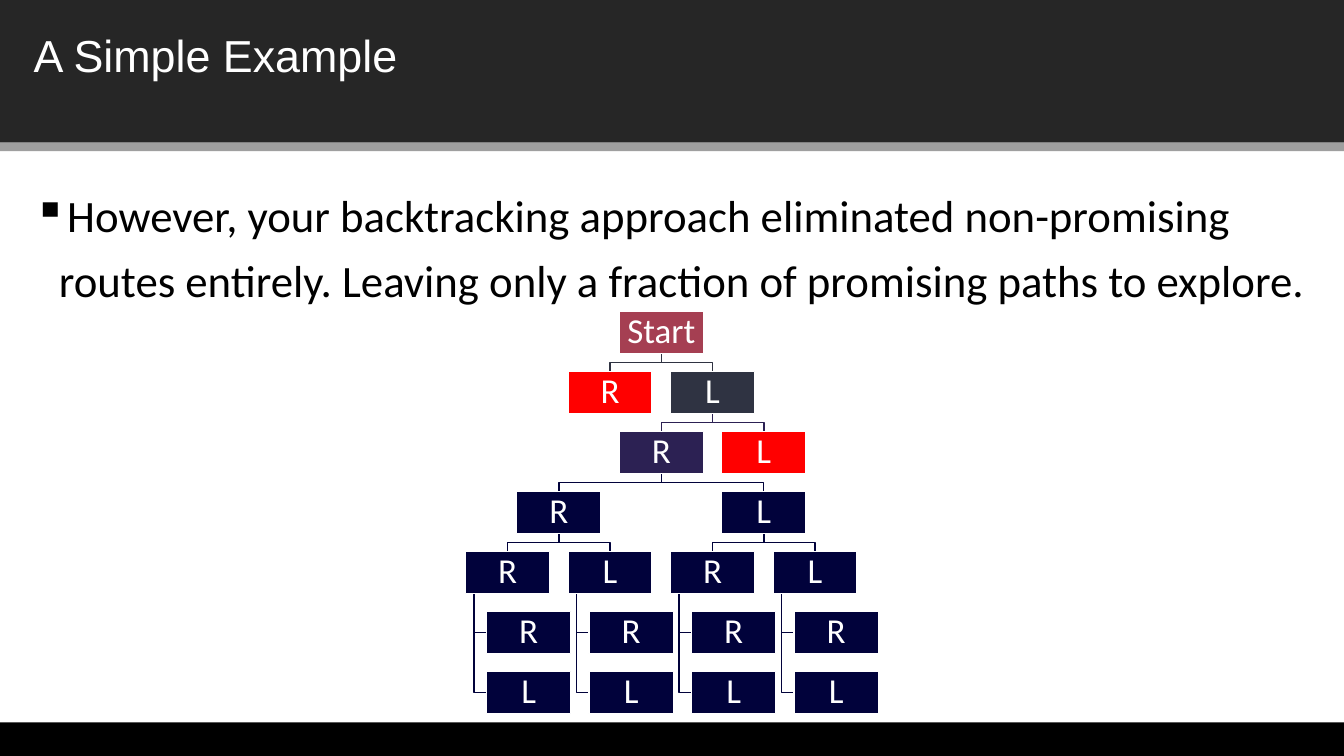
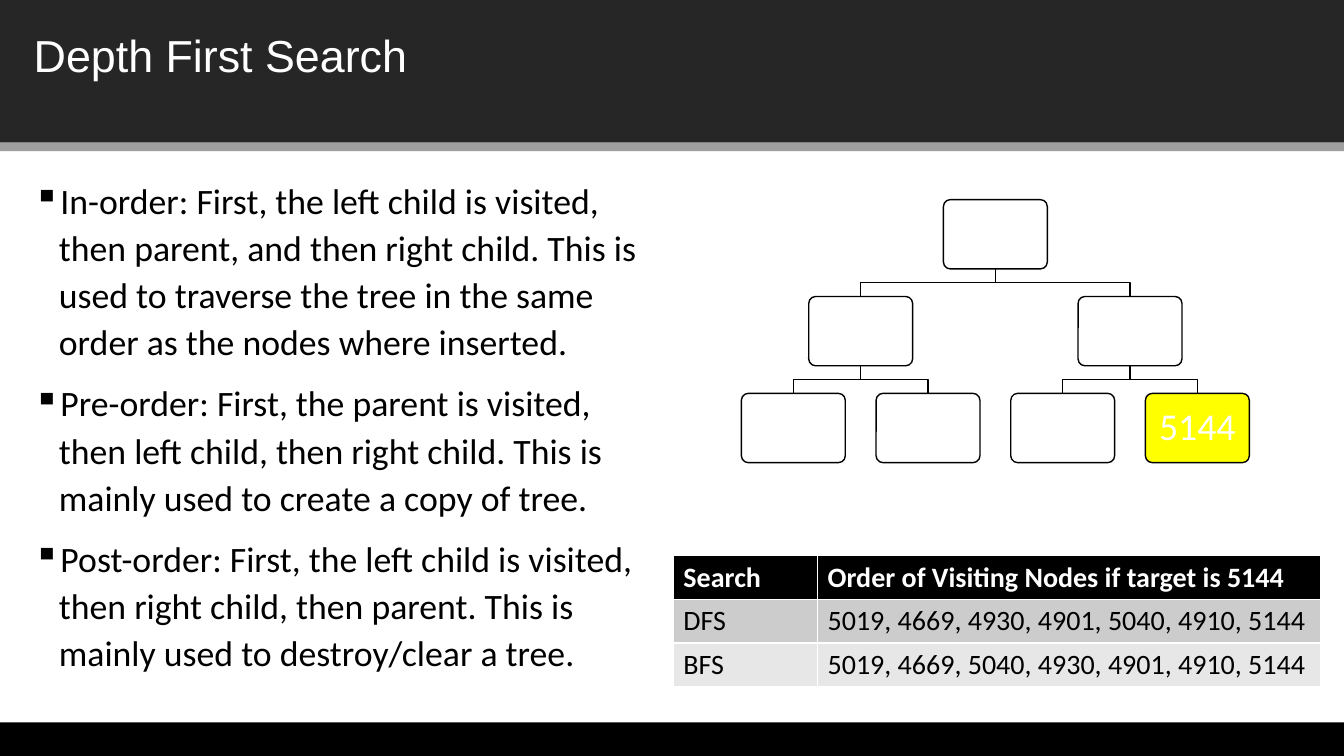
from lxml.etree import SubElement
from pptx import Presentation
from pptx.dml.color import RGBColor
from pptx.enum.shapes import MSO_SHAPE
from pptx.enum.text import MSO_ANCHOR, PP_ALIGN
from pptx.oxml.ns import qn
from pptx.util import Pt

COLORS = {
    "white": "FFFFFF", "black": "000000", "band": "262626", "strip": "9F9F9F",
    "start": "A53F52", "slate": "2F3342", "violet": "2C2153", "navy": "01023B",
    "dead": "FF0000", "target": "FFFF00", "row_dark": "CCCCCC", "row_light": "E7E7E7",
}
WIDTH, HEIGHT = 960, 540
MARGIN = 17


def rgb(name):
    return RGBColor.from_string(COLORS[name])


def write(tf, text, size, color="black", font="Calibri", bold=False, align=None,
          spacing=None, before=0, bullet=None):
    """Fill a text frame, one paragraph for each line of the text."""
    for i, line in enumerate(text.split("\n")):
        p = tf.add_paragraph() if i else tf.paragraphs[0]
        if bullet:
            pPr = p._p.get_or_add_pPr()
            pPr.set("marL", str(Pt(18)))
            pPr.set("indent", str(-Pt(18)))
            SubElement(pPr, qn("a:buChar")).set("char", bullet)
        if align is not None:
            p.alignment = align
        if spacing:
            p.line_spacing = spacing
        if i and before:
            p.space_before = Pt(before)
        r = p.add_run()
        r.text = line
        r.font.size, r.font.name, r.font.bold = Pt(size), font, bold
        r.font.color.rgb = rgb(color)


def add_text(s, box, text, **fmt):
    tf = s.shapes.add_textbox(*map(Pt, box)).text_frame
    tf.word_wrap = True
    write(tf, text, **fmt)


def add_box(shapes, box, fill, line=None, kind=MSO_SHAPE.RECTANGLE):
    sp = shapes.add_shape(kind, *map(Pt, box))
    sp.shadow.inherit = False
    sp.fill.solid()
    sp.fill.fore_color.rgb = rgb(fill)
    if line:
        sp.line.color.rgb = rgb(line)
        sp.line.width = Pt(1)
    else:
        sp.line.fill.background()
    return sp


def add_path(shapes, points, color):
    start, *rest = [(Pt(x), Pt(y)) for x, y in points]
    builder = shapes.build_freeform(*start)
    builder.add_line_segments(rest, close=False)
    sp = builder.convert_to_shape()
    sp.shadow.inherit = False
    sp.fill.background()
    sp.line.color.rgb = rgb(color)
    sp.line.width = Pt(1)


def node(label="", spread=0, kids=(), fill=None):
    """Tree node; its children sit `spread` columns to each side, or hang below at 0."""
    return {"label": label, "spread": spread, "kids": kids, "fill": fill}


def add_tree(shapes, item, x, y, style, depth=0):
    """Draw a node centred on x with its top at y, then its subtree."""
    w, h, step, pitch = (style[k] for k in ("w", "h", "step", "pitch"))
    levels, edges = style["levels"], style["edges"]
    left, bottom = x - w / 2, y + h

    # Branches and subtrees
    for i, kid in enumerate(item["kids"]):
        edge = edges[min(depth, len(edges) - 1)]
        if item["spread"]:
            kid_x, kid_y = x + (2 * i - 1) * item["spread"] * step, y + pitch
            mid = (bottom + kid_y) / 2
            points = [(x, bottom), (x, mid), (kid_x, mid), (kid_x, kid_y)]
        else:
            kid_x, kid_y = x + w / 4, y + (i + 1) * pitch
            stem, mid = left + w / 10, kid_y + h / 2
            points = [(stem, bottom), (stem, mid), (kid_x - w / 2, mid)]
        add_path(shapes, points, edge)
        add_tree(shapes, kid, kid_x, kid_y, style, depth + 1)

    # Node
    fill = item["fill"] or levels[min(depth, len(levels) - 1)]
    sp = add_box(shapes, (left, y, w, h), fill, style["line"], style["kind"])
    if style["kind"] == MSO_SHAPE.ROUNDED_RECTANGLE:
        sp.adjustments[0] = 0.1
    if item["label"]:
        tf = sp.text_frame
        tf.word_wrap = False
        tf.vertical_anchor = MSO_ANCHOR.MIDDLE
        tf.margin_left = tf.margin_right = tf.margin_top = tf.margin_bottom = Pt(1.5)
        write(tf, item["label"], size=style["size"], color="white",
              align=PP_ALIGN.CENTER, spacing=0.9)


def add_table(s, box, widths, rows):
    x, y, w, h = map(Pt, box)
    table = s.shapes.add_table(len(rows), len(widths), x, y, w, h).table
    for column, width in zip(table.columns, widths):
        column.width = Pt(width)
    for i, row in enumerate(rows):
        fill = ("black", "row_dark", "row_light")[i]
        for j, text in enumerate(row):
            cell = table.cell(i, j)
            cell.fill.solid()
            cell.fill.fore_color.rgb = rgb(fill)
            write(cell.text_frame, text, size=20, bold=i == 0,
                  color="black" if i else "white")


def add_slide(prs, title):
    """Blank slide with the title band, the strip and the footer."""
    s = prs.slides.add_slide(prs.slide_layouts[6])
    add_box(s.shapes, (0, 0, WIDTH, 102), "band")
    add_box(s.shapes, (0, 102, WIDTH, 6), "strip")
    add_box(s.shapes, (0, 516, WIDTH, 24), "black")
    add_text(s, (MARGIN, 16, 924, 46), title, size=32, color="white", font="Arial")
    return s


def example_slide(prs):
    s = add_slide(prs, "A Simple Example")
    add_text(s, (MARGIN, 123, 924, 99),
             "However, your backtracking approach eliminated non-promising routes "
             "entirely. Leaving only a fraction of promising paths to explore.",
             size=32, spacing=1.2, bullet="▪")

    # Decision tree, with the abandoned routes in red
    style = {"w": 60.2, "h": 30.1, "step": 73.2, "pitch": 42.87, "size": 25,
             "levels": ["start", "slate", "violet", "navy"],
             "edges": ["slate", "violet", "navy"],
             "line": "white", "kind": MSO_SHAPE.RECTANGLE}

    def fork(label):
        ends = [node("R"), node("L")]
        return node(label, 0.5, [node("R", 0, ends), node("L", 0, ends)])

    promising = node("R", 1, [fork("R"), fork("L")])
    left_route = node("L", 0.5, [promising, node("L", fill="dead")])
    start = node("Start", 0.5, [node("R", fill="dead"), left_route])
    add_tree(s.shapes.add_group_shape().shapes, start, 472.4, 222.3, style)


def search_slide(prs):
    s = add_slide(prs, "Depth First Search")
    add_text(s, (MARGIN, 121, 463, 390),
             "In-order: First, the left child is visited, then parent, and then right "
             "child. This is used to traverse the tree in the same order as the nodes "
             "where inserted.\n"
             "Pre-order: First, the parent is visited, then left child, then right "
             "child. This is mainly used to create a copy of tree.\n"
             "Post-order: First, the left child is visited, then right child, then "
             "parent. This is mainly used to destroy/clear a tree.",
             size=25.5, spacing=1.1, before=10, bullet="▪")

    # Binary tree with the target found
    style = {"w": 74.2, "h": 49.5, "step": 96.2, "pitch": 69.2, "size": 27,
             "levels": ["white"], "edges": ["black"],
             "line": "black", "kind": MSO_SHAPE.ROUNDED_RECTANGLE}
    root = node(spread=1, kids=[
        node(spread=0.5, kids=[node(), node()]),
        node(spread=0.5, kids=[node(), node("5144", fill="target")]),
    ])
    add_tree(s.shapes.add_group_shape().shapes, root, 711, 142.6, style)

    # Visiting orders
    add_table(s, (481, 396.8, 462, 93.6), (103, 359), [
        ("Search", "Order of Visiting Nodes if target is 5144"),
        ("DFS", "5019, 4669, 4930, 4901, 5040, 4910, 5144"),
        ("BFS", "5019, 4669, 5040, 4930, 4901, 4910, 5144"),
    ])


def main():
    prs = Presentation()
    prs.slide_width, prs.slide_height = Pt(WIDTH), Pt(HEIGHT)
    example_slide(prs)
    search_slide(prs)
    prs.save("out.pptx")


if __name__ == "__main__":
    main()
